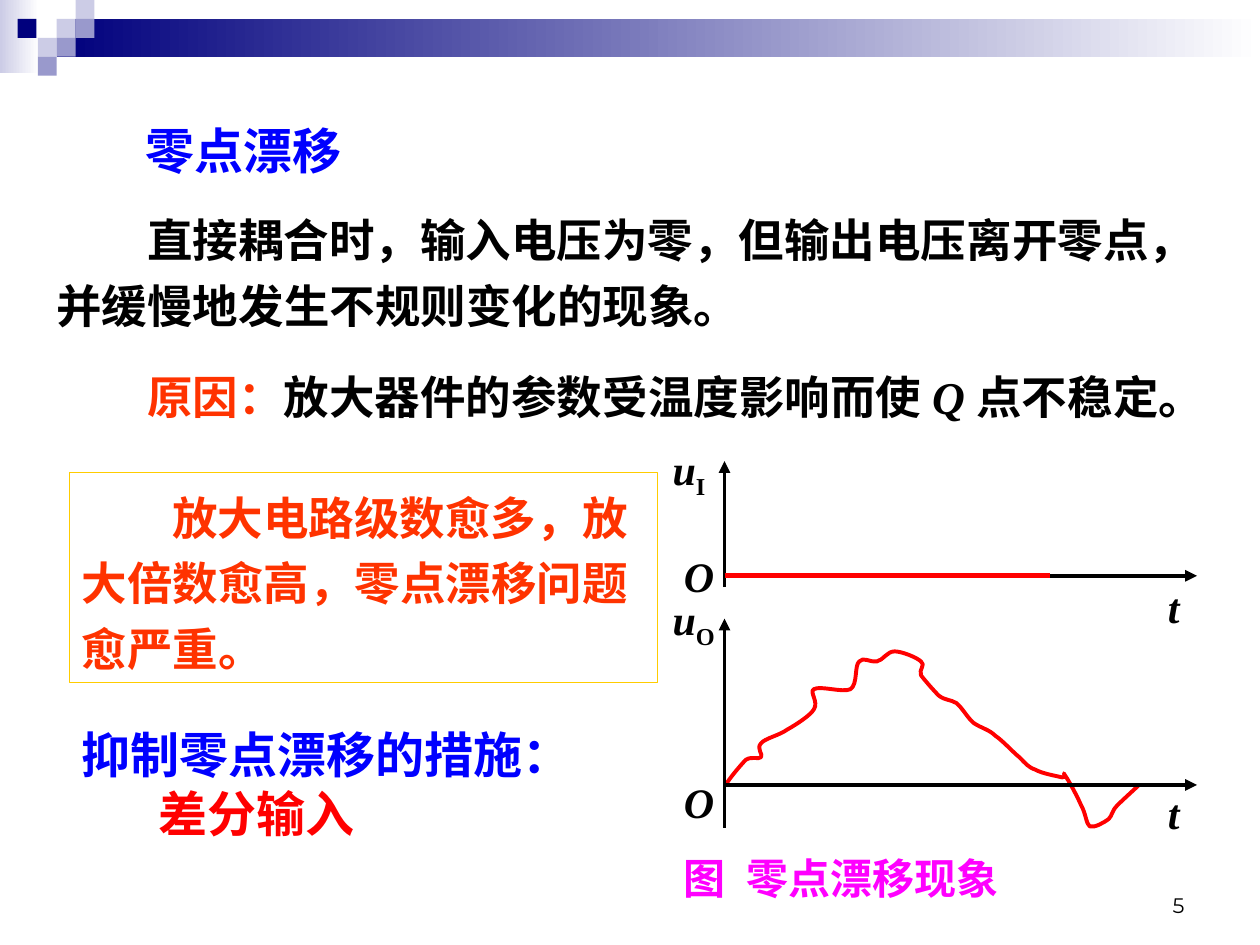
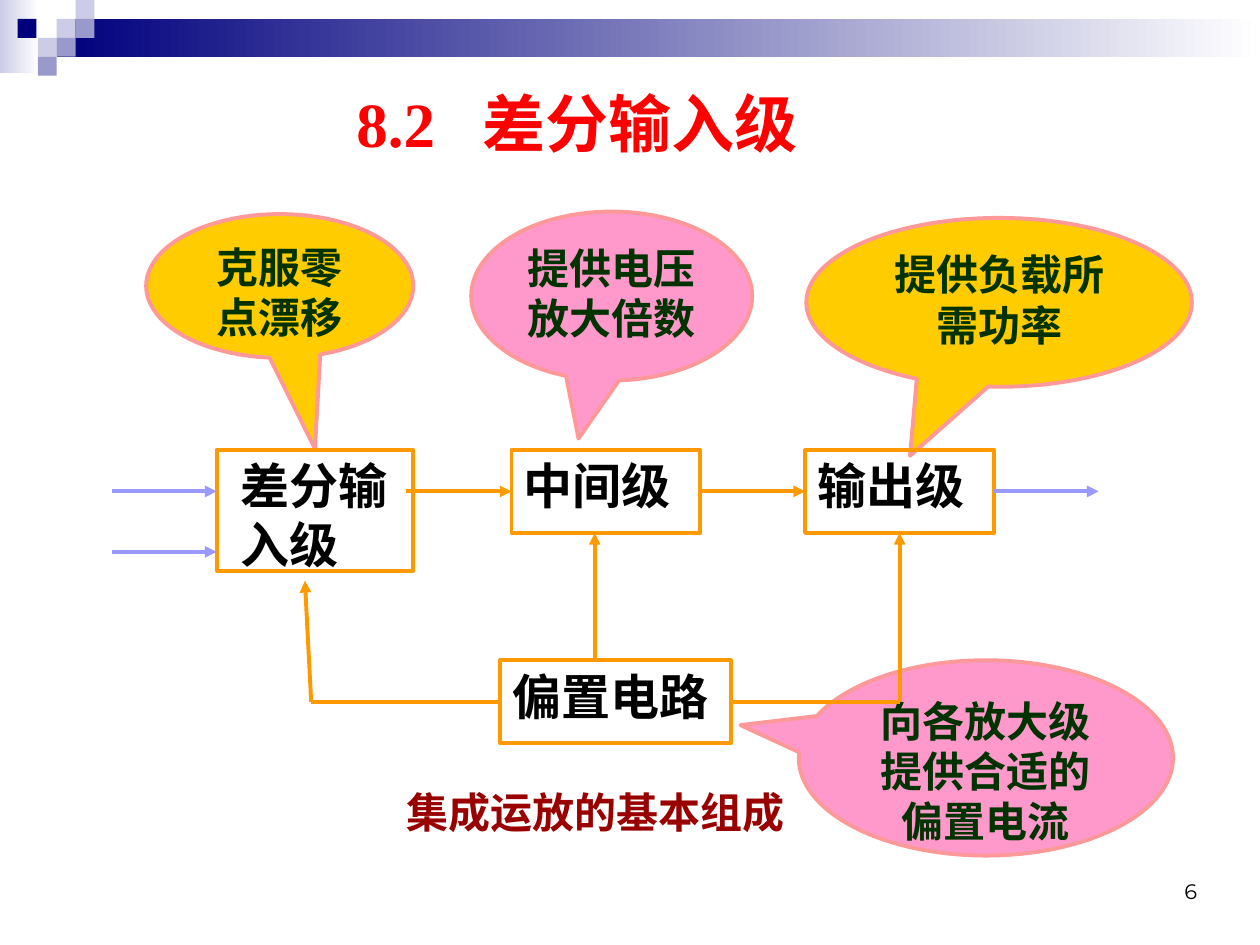
from dataclasses import dataclass
from itertools import cycle

from lxml import etree
from pptx import Presentation
from pptx.dml.color import RGBColor
from pptx.enum.shapes import MSO_CONNECTOR, MSO_SHAPE
from pptx.enum.text import MSO_ANCHOR, PP_ALIGN
from pptx.oxml.ns import qn
from pptx.util import Inches, Pt

RECT, CALLOUT = MSO_SHAPE.RECTANGLE, MSO_SHAPE.OVAL_CALLOUT
STRAIGHT = MSO_CONNECTOR.STRAIGHT
TOP, BOTTOM = MSO_ANCHOR.TOP, MSO_ANCHOR.BOTTOM
LEFT, CENTER, RIGHT = PP_ALIGN.LEFT, PP_ALIGN.CENTER, PP_ALIGN.RIGHT
SIDE_LEFT, SIDE_BOTTOM, SIDE_RIGHT = 1, 2, 3


@dataclass(frozen=True)
class Theme:
    serif: str = "Times New Roman"
    sans: str = "Arial"
    number: str = "Montserrat"
    chinese: str = "Noto Sans CJK SC"
    title: int = 36
    heading: int = 28
    body: int = 26
    label: int = 24
    page: int = 12
    black: str = "000000"
    white: str = "FFFFFF"
    navy: str = "00007D"
    lilac: str = "CCCCE6"
    violet: str = "9999CC"
    blue: str = "0000FF"
    red: str = "FF0000"
    vermilion: str = "FF3300"
    magenta: str = "FF00FF"
    maroon: str = "990000"
    green: str = "003300"
    gold: str = "FFCC00"
    pink: str = "FF99CC"
    salmon: str = "FF9999"
    orange: str = "FF9900"
    signal: str = "9999FF"
    hairline: float = 0.75
    stroke: float = 2.25
    thick: float = 3


T = Theme()

deck = Presentation()
deck.slide_width, deck.slide_height = Inches(10), Inches(7.5)
CELL = deck.slide_width / 100  # the slide is 100 columns by 75 rows


def add_box(slide, box, paragraphs=(), size=T.label, colour=T.black, font=T.serif,
            bold=True, preset=None, fill=None, outline=None, weight=T.stroke,
            align=LEFT, anchor=TOP, spacing=None, indents=(0,), tab=0, inset=1):
    """Add a text box, or a preset shape, holding paragraphs of (text, changes) runs."""
    place = [round(CELL * length) for length in box]
    if preset is None:
        shape = slide.shapes.add_textbox(*place)
    else:
        shape = slide.shapes.add_shape(preset, *place)
        shape.shadow.inherit = False
        if fill is None:
            shape.fill.background()
        elif isinstance(fill, tuple):
            shape.fill.gradient()
            shape.fill.gradient_angle = 0
            for stop, stop_colour in zip(shape.fill.gradient_stops, fill):
                stop.color.rgb = RGBColor.from_string(stop_colour)
        else:
            shape.fill.solid()
            shape.fill.fore_color.rgb = RGBColor.from_string(fill)
        if outline:
            shape.line.color.rgb = RGBColor.from_string(outline)
            shape.line.width = Pt(weight)
        else:
            shape.line.fill.background()
    frame = shape.text_frame
    frame.word_wrap = True
    frame.vertical_anchor = anchor
    frame.margin_left = round(CELL * inset)
    for index, (runs, indent) in enumerate(zip(paragraphs, cycle(indents))):
        paragraph = frame.add_paragraph() if index else frame.paragraphs[0]
        paragraph.alignment = align
        if spacing:
            paragraph.line_spacing = spacing
        properties = paragraph._p.get_or_add_pPr()
        properties.set("indent", str(round(CELL * indent)))
        if tab:
            stops = etree.SubElement(properties, qn("a:tabLst"))
            etree.SubElement(stops, qn("a:tab"), pos=str(round(CELL * tab)), algn="l")
        for text, changes in runs:
            run = paragraph.add_run()
            run.text = text
            run.font.size, run.font.bold, run.font.name = Pt(size), bold, font
            run.font.italic = changes.get("italic", False)
            run.font.color.rgb = RGBColor.from_string(changes.get("colour", colour))
            run_properties = run._r.get_or_add_rPr()
            etree.SubElement(run_properties, qn("a:ea"), typeface=T.chinese)
            if changes.get("subscript"):
                run_properties.set("baseline", "-25000")
    return shape


def add_line(slide, start, end, colour, weight=T.stroke, arrow=True, source=None, target=None):
    """Join two grid points; source and target are (shape, side) pairs to glue to."""
    line = slide.shapes.add_connector(STRAIGHT, *[round(CELL * v) for v in (*start, *end)])
    if source:
        line.begin_connect(*source)
    if target:
        line.end_connect(*target)
    line.line.color.rgb = RGBColor.from_string(colour)
    line.line.width = Pt(weight)
    if arrow:
        etree.SubElement(line.line._get_or_add_ln(), qn("a:tailEnd"), type="triangle")
    etree.SubElement(line._element.spPr, qn("a:effectLst"))


# Shared band, corner squares and page number
SQUARE = 1.5
corner_squares = [(3, 1, T.lilac), (4, 0, T.lilac), (4, 1, T.violet), (2, 2, T.lilac),
                  (0.93, 1, T.navy), (3, 2, T.violet), (2, 3, T.violet)]
slides = []
for number, number_box in [("5", (71.7, 68.3, 23.3, 5)), ("6", (72.7, 67.2, 23.3, 5))]:
    slide = deck.slides.add_slide(deck.slide_layouts[6])
    add_box(slide, (0, 0, 3.1, 5.8), preset=RECT, fill=(T.lilac, T.white))
    add_box(slide, (4.5, 1.5, 95.5, 3), preset=RECT, fill=(T.navy, T.white))
    for column, row, colour in corner_squares:
        add_box(slide, (column * SQUARE, row * SQUARE, SQUARE, SQUARE), preset=RECT, fill=colour)
    add_box(slide, number_box, [[(number, {})]], T.page, font=T.number, bold=False,
            align=RIGHT, anchor=BOTTOM)
    slides.append(slide)
drift, stages = slides

# Slide 1: zero drift
TWO_CHARACTERS = 7.2
ITALIC = {"italic": True}
add_box(drift, (10.6, 9.1, 20, 5.7), [[("零点漂移", {})]], T.heading, T.blue, T.sans)
add_box(drift, (3.5, 15.5, 93, 11.4),
        [[("直接耦合时，输入电压为零，但输出电压离开零点，并缓慢地发生不规则变化的现象。", {})]],
        T.body, spacing=1.2, indents=(TWO_CHARACTERS,))
add_box(drift, (3.5, 28.8, 95, 9.7),
        [[("原因：", {"colour": T.vermilion}), ("放大器件的参数受温度影响而使 ", {}),
          ("Q ", ITALIC), ("点不稳定。", {})]],
        T.body, indents=(TWO_CHARACTERS,))
add_box(drift, (5.5, 37.5, 46.7, 16.7),
        [[("放大电路级数愈多，放大倍数愈高，零点漂移问题愈严重。", {})]],
        T.body, T.vermilion, preset=RECT, outline=T.gold, weight=T.hairline,
        spacing=1.2, indents=(TWO_CHARACTERS,))
add_box(drift, (5.5, 57, 43, 10.4),
        [[("抑制零点漂移的措施：", {})], [("差分输入", {"colour": T.red})]],
        T.heading, T.blue, T.sans, indents=(0, 6.1))
add_box(drift, (53.3, 67.2, 40, 5), [[("图\t零点漂移现象", {})]], colour=T.magenta, tab=7.5)

# Output voltage: the start, then three points for each curve, in tenths of a cell
output_start = (576, 623)
output_curves = [
    (578, 619, 588, 607, 592, 603), (597, 600, 602, 603, 604, 601),
    (606, 599, 600, 594, 604, 590), (607, 586, 618, 584, 625, 579),
    (632, 575, 643, 568, 646, 563), (650, 557, 642, 549, 646, 547),
    (651, 544, 669, 550, 675, 547), (681, 543, 678, 528, 682, 525),
    (685, 521, 691, 526, 696, 525), (701, 524, 704, 517, 710, 517),
    (716, 517, 728, 522, 731, 525), (735, 528, 729, 531, 731, 536),
    (734, 540, 741, 548, 745, 552), (750, 556, 754, 555, 759, 558),
    (764, 562, 768, 570, 773, 574), (779, 578, 785, 579, 790, 584),
    (796, 588, 804, 597, 809, 601), (814, 606, 816, 609, 822, 611),
    (827, 614, 839, 616, 843, 617), (847, 618, 843, 611, 845, 615),
    (848, 619, 855, 632, 858, 639), (862, 646, 862, 654, 865, 656),
    (869, 657, 876, 653, 880, 650), (883, 647, 882, 644, 887, 639),
    (891, 635, 901, 626, 904, 623),
]
builder = drift.shapes.build_freeform(*output_start, scale=CELL / 10)
builder.add_line_segments([pair for curve in output_curves
                           for pair in zip(curve[::2], curve[1::2])], close=False)
output_voltage = builder.convert_to_shape()
output_voltage.shadow.inherit = False
output_voltage.fill.background()
output_voltage.line.color.rgb = RGBColor.from_string(T.red)
output_voltage.line.width = Pt(T.stroke)
segments = list(output_voltage._element.iter(qn("a:lnTo")))
for first, second, third in zip(segments[::3], segments[1::3], segments[2::3]):
    bezier = etree.Element(qn("a:cubicBezTo"))
    first.addprevious(bezier)
    for segment in (first, second, third):
        bezier.append(segment[0])
        segment.getparent().remove(segment)

# Axes: subscript, time axis row, voltage axis ends, rows of the u, t and O labels
AXIS = 57.5
for subscript, zero, peak, foot, u_row, t_row, o_row in [
        ("O", 62.3, 49.1, 65.7, 46.6, 62, 61.1),
        ("I", 45.7, 36.6, 46.6, 34.7, 45.7, 43.2)]:
    add_line(drift, (AXIS, zero), (AXIS + 37.5, zero), T.black)
    add_line(drift, (AXIS, foot), (AXIS, peak), T.black)
    for column, row, runs in [
            (52.4, u_row, [("u", ITALIC), (subscript, {"subscript": True})]),
            (91.7, t_row, [("t", ITALIC)]),
            (53.3, o_row, [("O", ITALIC)])]:
        add_box(drift, (column, row, 6.7, 5), [runs])
add_line(drift, (AXIS, 45.7), (83.3, 45.7), T.red, T.thick, arrow=False)

# Slide 2: the stages of an operational amplifier
add_box(stages, (27.3, 6.2, 46.1, 7.1), [[("8.2\t差分输入级", {})]], T.title, T.red, tab=10)
for box, tip, fill, purpose in [
        ((63.4, 52.4, 29.7, 15.5), (-0.656, -0.168), T.pink, "向各放大级提供合适的偏置电流"),
        ((11.6, 17, 21.2, 11.4), (0.132, 1.132), T.gold, "克服零点漂移"),
        ((64, 17.3, 30.6, 13.4), (-0.231, 0.909), T.gold, "提供负载所需功率"),
        ((37.4, 16.8, 22.3, 13.4), (-0.118, 0.844), T.pink, "提供电压放大倍数")]:
    callout = add_box(stages, box, [[(purpose, {})]], colour=T.green, preset=CALLOUT,
                      fill=fill, outline=T.salmon, align=CENTER)
    callout.adjustments[0], callout.adjustments[1] = tip

STAGE_ROW, STAGE_HEIGHT, BIAS_ROW = 35.7, 6.6, 52.4
SIGNAL_ROW = STAGE_ROW + STAGE_HEIGHT / 2
SUPPLY_ROW = BIAS_ROW + STAGE_HEIGHT / 2
STAGE_FOOT = STAGE_ROW + STAGE_HEIGHT
input_stage, middle_stage, output_stage, bias = [
    add_box(stages, box, [[(name, {})]], T.heading, preset=RECT, outline=T.orange, inset=inset)
    for name, box, inset in [
        ("差分输入级", (17.2, STAGE_ROW, 15.6, 9.6), 1.9),
        ("中间级", (40.6, STAGE_ROW, 15, STAGE_HEIGHT), 1),
        ("输出级", (63.9, STAGE_ROW, 15, STAGE_HEIGHT), 1),
        ("偏置电路", (39.7, BIAS_ROW, 18.3, STAGE_HEIGHT), 1)]]

for row in (SIGNAL_ROW, 43.8):
    add_line(stages, (8.9, row), (17.2, row), T.signal)
add_line(stages, (32.2, SIGNAL_ROW), (40.6, SIGNAL_ROW), T.orange,
         target=(middle_stage, SIDE_LEFT))
add_line(stages, (55.6, SIGNAL_ROW), (63.9, SIGNAL_ROW), T.orange,
         source=(middle_stage, SIDE_RIGHT), target=(output_stage, SIDE_LEFT))
add_line(stages, (78.9, SIGNAL_ROW), (87.2, SIGNAL_ROW), T.signal,
         source=(output_stage, SIDE_RIGHT))
add_line(stages, (47.2, BIAS_ROW), (47.2, STAGE_FOOT), T.orange)
add_line(stages, (24.7, SUPPLY_ROW), (24.2, 46.1), T.orange)
add_line(stages, (71.4, SUPPLY_ROW), (71.4, STAGE_FOOT), T.orange,
         target=(output_stage, SIDE_BOTTOM))
add_line(stages, (58, SUPPLY_ROW), (71.4, SUPPLY_ROW), T.orange, arrow=False,
         source=(bias, SIDE_RIGHT))
add_line(stages, (24.7, SUPPLY_ROW), (39.7, SUPPLY_ROW), T.orange, arrow=False,
         target=(bias, SIDE_LEFT))
add_box(stages, (20.5, 61.9, 53.5, 5), [[("集成运放的基本组成", {})]],
        colour=T.maroon, font=T.chinese, align=CENTER)

deck.save("out.pptx")
